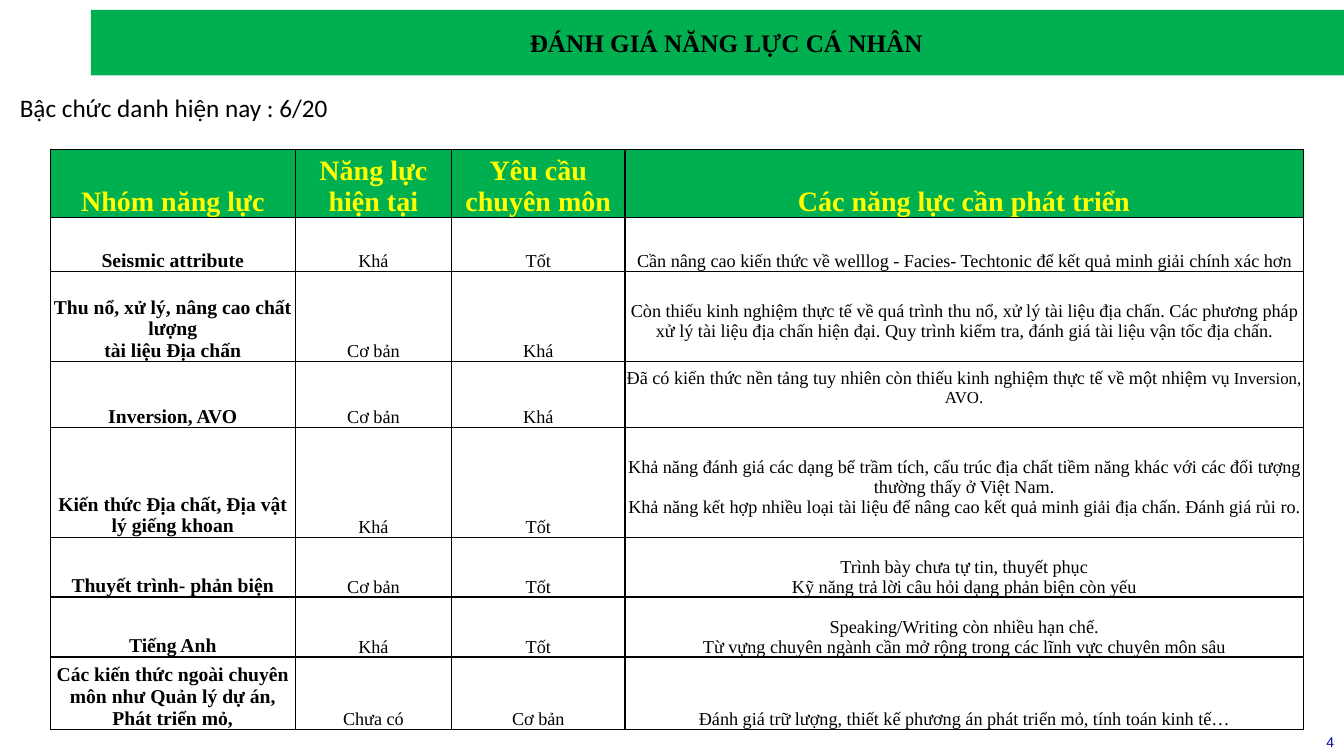
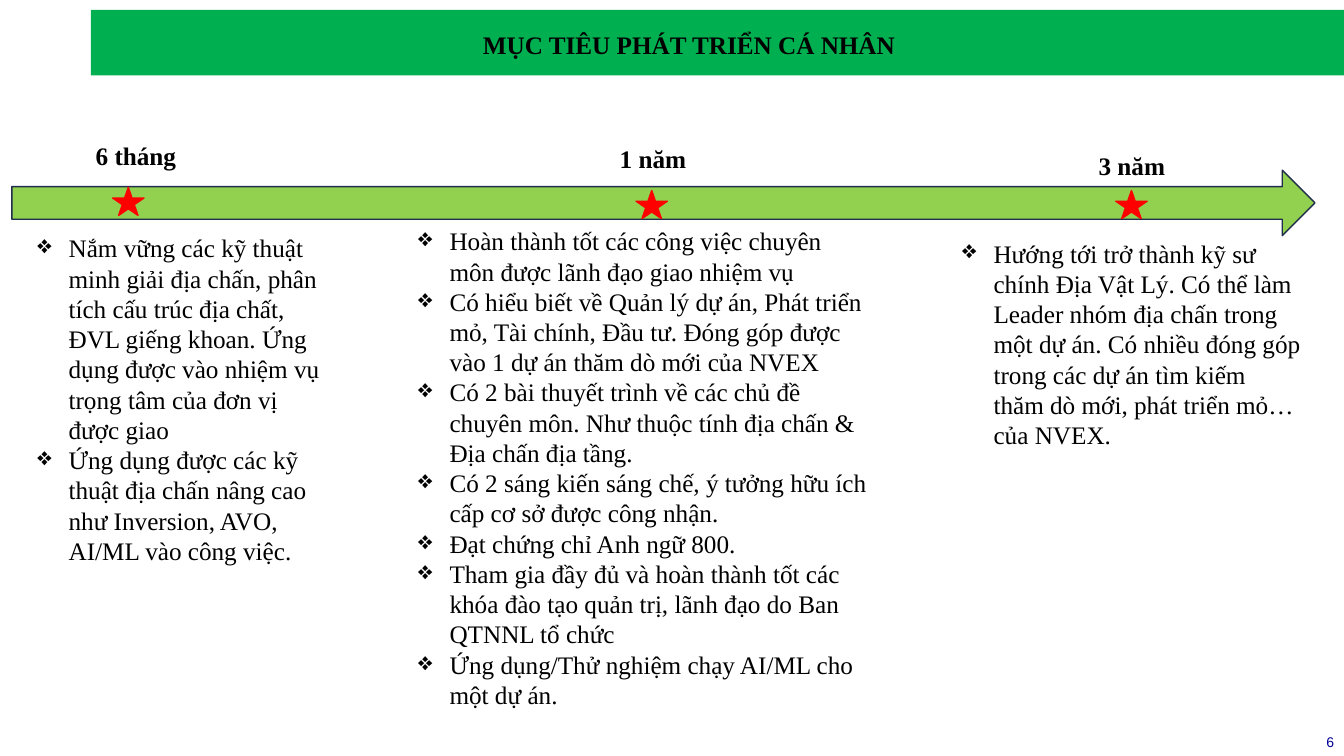
from dataclasses import dataclass

from lxml import etree
from pptx import Presentation
from pptx.dml.color import RGBColor
from pptx.enum.shapes import MSO_SHAPE
from pptx.enum.text import MSO_ANCHOR, PP_ALIGN
from pptx.oxml.ns import qn
from pptx.util import Cm, Pt

LEFT, CENTER, RIGHT = PP_ALIGN.LEFT, PP_ALIGN.CENTER, PP_ALIGN.RIGHT
BOTTOM = MSO_ANCHOR.BOTTOM
RECTANGLE, ARROW, STAR = MSO_SHAPE.RECTANGLE, MSO_SHAPE.RIGHT_ARROW, MSO_SHAPE.STAR_5_POINT


@dataclass(frozen=True)
class Theme:
    # Colours
    band: str = "00B050"
    text: str = "000000"
    header: str = "FFFF00"
    number: str = "000099"
    arrow: str = "92D050"
    arrow_line: str = "202D4B"
    star: str = "FF0000"
    # Fonts
    serif: str = "Times New Roman"
    sans: str = "Calibri"
    number_font: str = "Arial"
    # Type sizes in points
    body_size: int = 18
    header_size: int = 20
    group_size: int = 14
    cell_size: int = 13
    small_size: int = 12
    number_size: int = 10


THEME = Theme()


def write_text(frame, lines, size=THEME.body_size, font=THEME.serif, color=THEME.text,
               bold=False, align=LEFT, bullet=None, indent=0.79):
    """Write one paragraph per line; a line is a string or a list of (text, size)."""
    for index, line in enumerate([lines] if isinstance(lines, str) else lines):
        paragraph = frame.paragraphs[0] if index == 0 else frame.add_paragraph()
        paragraph.alignment = align
        if bullet:
            properties = paragraph._p.get_or_add_pPr()
            properties.set("marL", str(Cm(indent)))
            properties.set("indent", str(-Cm(indent)))
            etree.SubElement(properties, qn("a:buChar"), char=bullet)
        for text, run_size in [(line, size)] if isinstance(line, str) else line:
            run = paragraph.add_run()
            run.text = text
            run.font.size = Pt(run_size)
            run.font.name = font
            run.font.bold = bold
            run.font.color.rgb = RGBColor.from_string(color)


class Deck:
    def __init__(self, theme):
        self.theme = theme
        self.presentation = Presentation()
        self.presentation.slide_width = Cm(33.87)
        self.presentation.slide_height = Cm(19.05)
        self.slide = None

    def add_slide(self, title, number, title_left, title_top):
        """Start a slide with the shared band, title and slide number."""
        theme = self.theme
        self.slide = self.presentation.slides.add_slide(self.presentation.slide_layouts[6])
        self.shape(RECTANGLE, 2.29, 0.25, 31.58, 1.65, theme.band)
        self.text(title, title_left, title_top, 17.15, 1.02, bold=True, align=CENTER)
        self.text(number, 32.18, 18.36, 1.69, 0.58, size=theme.number_size,
                  font=theme.number_font, color=theme.number, align=RIGHT)

    def shape(self, kind, left, top, width, height, fill, line=None):
        shape = self.slide.shapes.add_shape(kind, Cm(left), Cm(top), Cm(width), Cm(height))
        shape.shadow.inherit = False
        shape.fill.solid()
        shape.fill.fore_color.rgb = RGBColor.from_string(fill)
        if line:
            shape.line.color.rgb = RGBColor.from_string(line)
            shape.line.width = Pt(1)
        else:
            shape.line.fill.background()

    def text(self, lines, left, top, width, height, **text_format):
        box = self.slide.shapes.add_textbox(Cm(left), Cm(top), Cm(width), Cm(height))
        box.text_frame.word_wrap = True
        write_text(box.text_frame, lines, **text_format)

    def table(self, left, top, widths, heights, rows, raised_rows):
        """Add a bordered table; raised_rows lift the text of their last cell."""
        theme = self.theme
        table = self.slide.shapes.add_table(
            len(rows), len(widths), Cm(left), Cm(top),
            Cm(sum(widths)), Cm(sum(heights))).table
        table.first_row = table.horz_banding = False
        for column, width in zip(table.columns, widths):
            column.width = Cm(width)
        for row_index, (row, height) in enumerate(zip(rows, heights)):
            table.rows[row_index].height = Cm(height)
            for column_index, lines in enumerate(row):
                cell = table.cell(row_index, column_index)
                raised = row_index in raised_rows and column_index == len(row) - 1
                cell.margin_left = cell.margin_right = cell.margin_top = Cm(0.03)
                cell.margin_bottom = Cm(0.5 if raised else 0)
                cell.vertical_anchor = BOTTOM
                self.cell_borders(cell)
                size, color = theme.cell_size, theme.text
                if row_index == 0:
                    size, color = theme.header_size, theme.header
                    cell.fill.solid()
                    cell.fill.fore_color.rgb = RGBColor.from_string(theme.band)
                else:
                    cell.fill.background()
                    if column_index == 0:
                        size = theme.group_size
                write_text(cell.text_frame, lines, size=size, color=color, align=CENTER,
                           bold=row_index == 0 or column_index == 0)

    def cell_borders(self, cell):
        properties = cell._tc.get_or_add_tcPr()
        for side in ("lnL", "lnR", "lnT", "lnB"):
            border = etree.SubElement(properties, qn(f"a:{side}"), w=str(Pt(1)))
            fill = etree.SubElement(border, qn("a:solidFill"))
            etree.SubElement(fill, qn("a:srgbClr"), val=self.theme.text)

    def milestone(self, label, label_at, star_at, goals, goals_box):
        self.text(label, *label_at, 2.79, 1.02, bold=True, align=CENTER)
        self.shape(STAR, *star_at, 0.79, 0.71, self.theme.star, self.theme.star)
        self.text(goals, *goals_box, bullet="❖")


COMPETENCIES = [
    ["Nhóm năng lực", "Năng lực hiện tại", ["Yêu cầu", "chuyên môn"],
     "Các năng lực cần phát triển"],
    ["Seismic attribute", "Khá", "Tốt",
     "Cần nâng cao kiến thức về welllog - Facies- Techtonic để kết quả minh giải "
     "chính xác hơn"],
    [["Thu nổ, xử lý, nâng cao chất lượng", "tài liệu Địa chấn"], "Cơ bản", "Khá",
     "Còn thiếu kinh nghiệm thực tế về quá trình thu nổ, xử lý tài liệu địa chấn. "
     "Các phương pháp xử lý tài liệu địa chấn hiện đại. Quy trình kiểm tra, đánh giá "
     "tài liệu vận tốc địa chấn."],
    ["Inversion, AVO", "Cơ bản", "Khá",
     [[("Đã có kiến thức nền tảng tuy nhiên còn thiếu kinh nghiệm thực tế về một "
        "nhiệm vụ ", THEME.cell_size), ("Inversion, AVO.", THEME.small_size)]]],
    ["Kiến thức Địa chất, Địa vật lý giếng khoan", "Khá", "Tốt",
     ["Khả năng đánh giá các dạng bể trầm tích, cấu trúc địa chất tiềm năng khác với "
      "các đối tượng thường thấy ở Việt Nam.",
      "Khả năng kết hợp nhiều loại tài liệu để nâng cao kết quả minh giải địa chấn. "
      "Đánh giá rủi ro."]],
    ["Thuyết trình- phản biện", "Cơ bản", "Tốt",
     ["Trình bày chưa tự tin, thuyết phục",
      "Kỹ năng trả lời câu hỏi dạng phản biện còn yếu"]],
    ["Tiếng Anh", "Khá", "Tốt",
     ["Speaking/Writing còn nhiều hạn chế.",
      "Từ vựng chuyên ngành cần mở rộng trong các lĩnh vực chuyên môn sâu"]],
    ["Các kiến thức ngoài chuyên môn như Quản lý dự án, Phát triển mỏ,", "Chưa có",
     "Cơ bản",
     "Đánh giá trữ lượng, thiết kế phương án phát triển mỏ, tính toán kinh tế…"],
]

# Label, label position, star position, goals, goals box
MILESTONES = [
    ("6 tháng", (2.03, 3.4), (2.84, 4.72),
     ["Nắm vững các kỹ thuật minh giải địa chấn, phân tích cấu trúc địa chất, ĐVL giếng "
      "khoan. Ứng dụng được vào nhiệm vụ trọng tâm của đơn vị được giao",
      "Ứng dụng được các kỹ thuật địa chấn nâng cao như Inversion, AVO, AI/ML vào "
      "công việc."],
     (0.69, 5.74, 7.67, 10.26)),
    ("1 năm", (15.06, 3.48), (16.03, 4.8),
     ["Hoàn thành tốt các công việc chuyên môn được lãnh đạo giao nhiệm vụ",
      "Có hiểu biết về Quản lý dự án, Phát triển mỏ, Tài chính, Đầu tư. Đóng góp được "
      "vào 1 dự án thăm dò mới của NVEX",
      "Có 2 bài thuyết trình về các chủ đề chuyên môn. Như thuộc tính địa chấn & "
      "Địa chấn địa tầng.",
      "Có 2 sáng kiến sáng chế, ý tưởng hữu ích cấp cơ sở được công nhận.",
      "Đạt chứng chỉ Anh ngữ 800.",
      "Tham gia đầy đủ và hoàn thành tốt các khóa đào tạo quản trị, lãnh đạo do Ban "
      "QTNNL tổ chức",
      "Ứng dụng/Thử nghiệm chạy AI/ML cho một dự án."],
     (10.29, 5.56, 11.81, 13.33)),
    ("3 năm", (27.13, 3.66), (28.12, 4.8),
     ["Hướng tới trở thành kỹ sư chính Địa Vật Lý. Có thể làm Leader nhóm địa chấn "
      "trong một dự án. Có nhiều đóng góp trong các dự án tìm kiếm thăm dò mới, phát "
      "triển mỏ… của NVEX."],
     (24, 5.87, 9.07, 5.64)),
]


def main():
    deck = Deck(THEME)

    # Competency assessment
    deck.add_slide("ĐÁNH GIÁ NĂNG LỰC CÁ NHÂN", "4", 9.73, 0.56)
    deck.table(1.27, 3.76, [6.17, 3.94, 4.37, 17.09],
               [1.7, 1.36, 2.27, 1.65, 2.77, 1.51, 1.51, 1.82],
               COMPETENCIES, raised_rows=(2, 3, 4))
    deck.text("Bậc chức danh hiện nay : 6/20", 0.25, 2.21, 9.37, 1.02, font=THEME.sans)

    # Development timeline
    deck.add_slide("MỤC TIÊU PHÁT TRIỂN CÁ NHÂN", "6", 8.79, 0.61)
    deck.shape(ARROW, 0.3, 4.29, 32.84, 1.65, THEME.arrow, THEME.arrow_line)
    for milestone in MILESTONES:
        deck.milestone(*milestone)

    deck.presentation.save("out.pptx")


if __name__ == "__main__":
    main()
